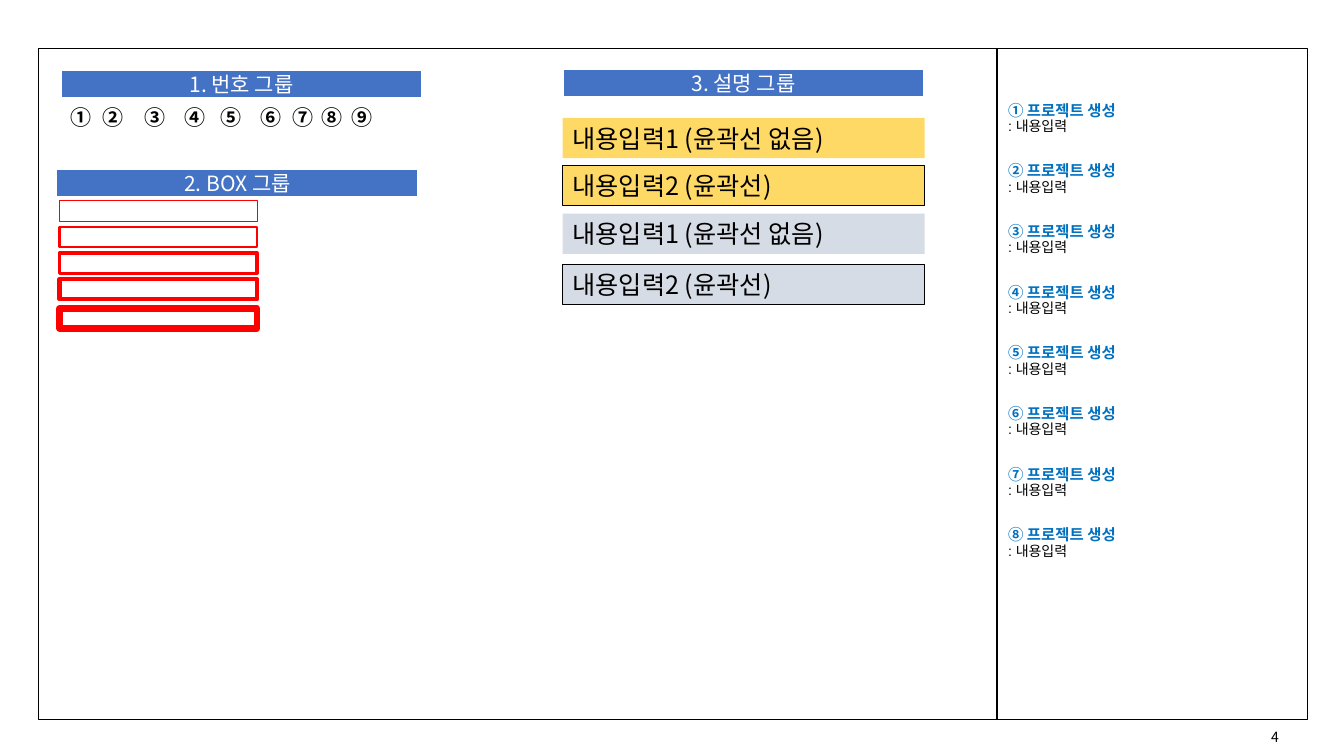
from lxml import etree
from pptx import Presentation
from pptx import util as u
from pptx.dml.color import RGBColor
from pptx.enum import shapes, text
from pptx.oxml.ns import qn

KOREAN = "Noto Sans CJK KR"
BLACK, WHITE, RED, BLUE = "000000", "FFFFFF", "FF0000", "4472C4"
YELLOW, GREY, LINK_BLUE = "FFD966", "D6DCE5", "0070C0"

# Content
NUMBERS = "①②③④⑤⑥⑦⑧⑨"
NUMBER_LEFTS = [0.6, 0.92, 1.33, 1.73, 2.09, 2.49, 2.8, 3.09, 3.39]
HEADINGS = [("1. 번호 그룹", 0.6, 0.69), ("2. BOX 그룹", 0.56, 1.68), ("3. 설명 그룹", 5.58, 0.68)]
DESCRIPTIONS = [  # text, top, fill, outline
    ("내용입력1 (윤곽선 없음)", 1.17, YELLOW, None),
    ("내용입력2 (윤곽선)", 1.64, YELLOW, BLACK),
    ("내용입력1 (윤곽선 없음)", 2.12, GREY, None),
    ("내용입력2 (윤곽선)", 2.62, GREY, BLACK),
]
RED_BOXES = [(1.99, 0.25), (2.25, 1.5), (2.51, 2.25), (2.77, 3), (3.06, 4.5)]  # top, line width
NOTE_TITLE, NOTE_BODY, NOTE_COUNT = "프로젝트 생성", ": 내용입력", 8

# Grid in inches
FRAME_TOP, FRAME_HEIGHT = 0.48, 6.66
FRAMES = [(9.89, 3.08), (0.38, 9.51)]  # left, width
BAR_WIDTH, BAR_HEIGHT = 3.59, 0.28
NOTE_LEFT, NOTE_TOP, NOTE_STEP = 9.9, 0.97, 0.602

presentation = Presentation()
presentation.slide_width, presentation.slide_height = u.Inches(13.33), u.Inches(7.5)
slide = presentation.slides.add_slide(presentation.slide_layouts[6])


def color(value):
    return RGBColor.from_string(value)


def write(shape, lines, wrap=True, align=text.PP_ALIGN.LEFT, anchor=text.MSO_ANCHOR.TOP, spacing=None):
    """Write one paragraph per (words, font size, colour, bold, font name)."""
    frame = shape.text_frame
    frame.word_wrap, frame.vertical_anchor = wrap, anchor
    for index, (words, size, ink, bold, name) in enumerate(lines):
        paragraph = frame.add_paragraph() if index else frame.paragraphs[0]
        paragraph.alignment = align
        if spacing:
            paragraph.line_spacing = spacing
        run = paragraph.add_run()
        run.text = words
        run.font.color.rgb = color(ink)
        for key, value in {"size": u.Pt(size), "bold": bold, "name": name}.items():
            setattr(run.font, key, value)
        etree.SubElement(run.font._element, qn("a:ea"), typeface=KOREAN)


def add_text(left, top, width, height, lines, **options):
    box = slide.shapes.add_textbox(*map(u.Inches, (left, top, width, height)))
    write(box, lines, **options)


def add_box(left, top, width, height, fill=None, line=None, weight=1):
    box = slide.shapes.add_shape(
        shapes.MSO_SHAPE.RECTANGLE, *map(u.Inches, (left, top, width, height)))
    box.shadow.inherit = False
    if fill:
        box.fill.solid()
        box.fill.fore_color.rgb = color(fill)
    else:
        box.fill.background()
    if line:
        box.line.color.rgb = color(line)
        box.line.width = u.Pt(weight)
    else:
        box.line.fill.background()
    return box


# Page frames and page number
add_text(12.51, 7.18, 0.38, 0.27, [("4", 10, BLACK, False, KOREAN)], wrap=False)
for left, width in FRAMES:
    add_box(left, FRAME_TOP, width, FRAME_HEIGHT, line=BLACK)

# Number group
for number, left in zip(NUMBERS, NUMBER_LEFTS):
    add_text(left, 0.99, 0.41, 0.35, [(number, 15, BLACK, True, KOREAN)], wrap=False)

# Notes in the right column
for index, number in enumerate(NUMBERS[:NOTE_COUNT]):
    add_text(NOTE_LEFT, NOTE_TOP + index * NOTE_STEP, 3.06, 0.62, [
        (f"{number} {NOTE_TITLE}", 11, LINK_BLUE, True, "Arial"),
        (NOTE_BODY, 10, BLACK, False, "Arial"),
    ], spacing=0.9)

# Red boxes with growing outlines
for top, weight in RED_BOXES:
    add_box(0.59, top, 1.96, 0.2, line=RED, weight=weight)

# Group headings
for words, left, top in HEADINGS:
    bar = add_box(left, top, BAR_WIDTH, BAR_HEIGHT, fill=BLUE, line=WHITE, weight=1.5)
    write(bar, [(words, 15, WHITE, False, KOREAN)],
          align=text.PP_ALIGN.CENTER, anchor=text.MSO_ANCHOR.MIDDLE)

# Description group
for words, top, fill, line in DESCRIPTIONS:
    bar = add_box(5.58, top, BAR_WIDTH, 0.4, fill=fill, line=line, weight=0.75)
    write(bar, [(words, 18, BLACK, False, KOREAN)])

presentation.save("out.pptx")
